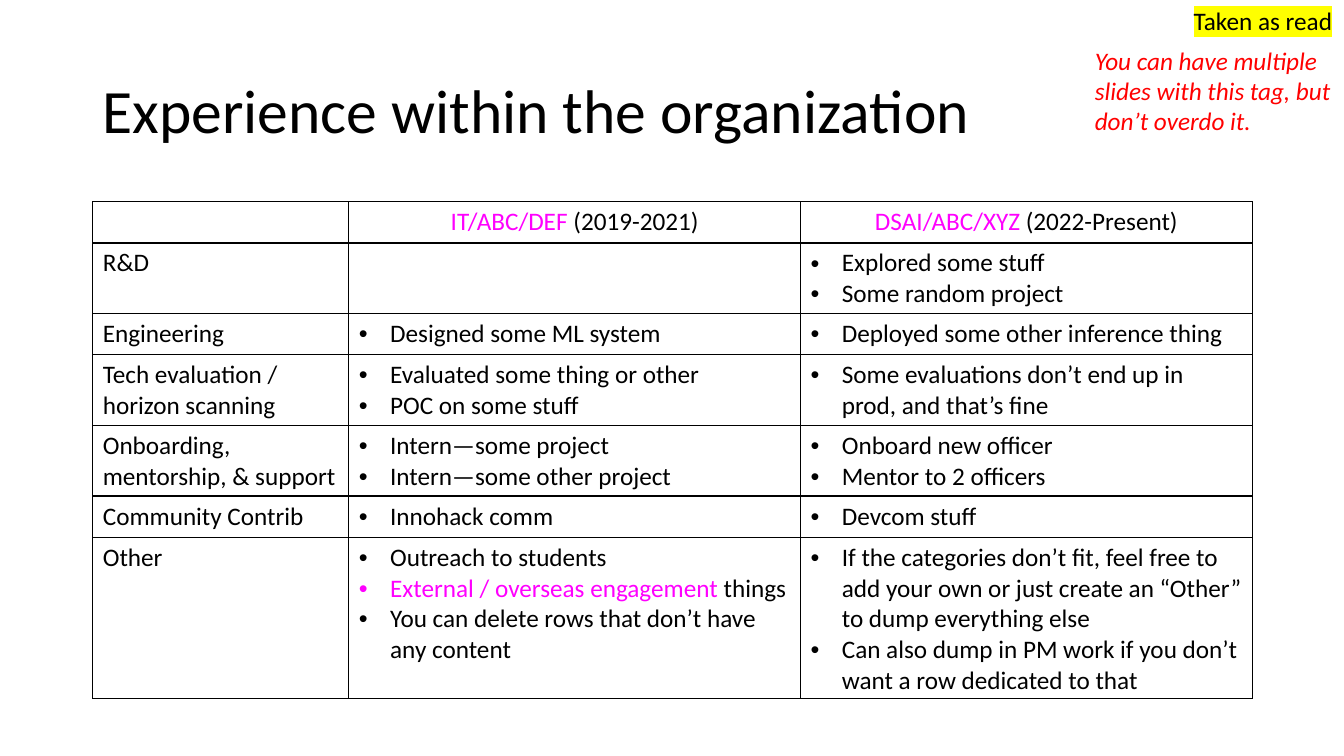
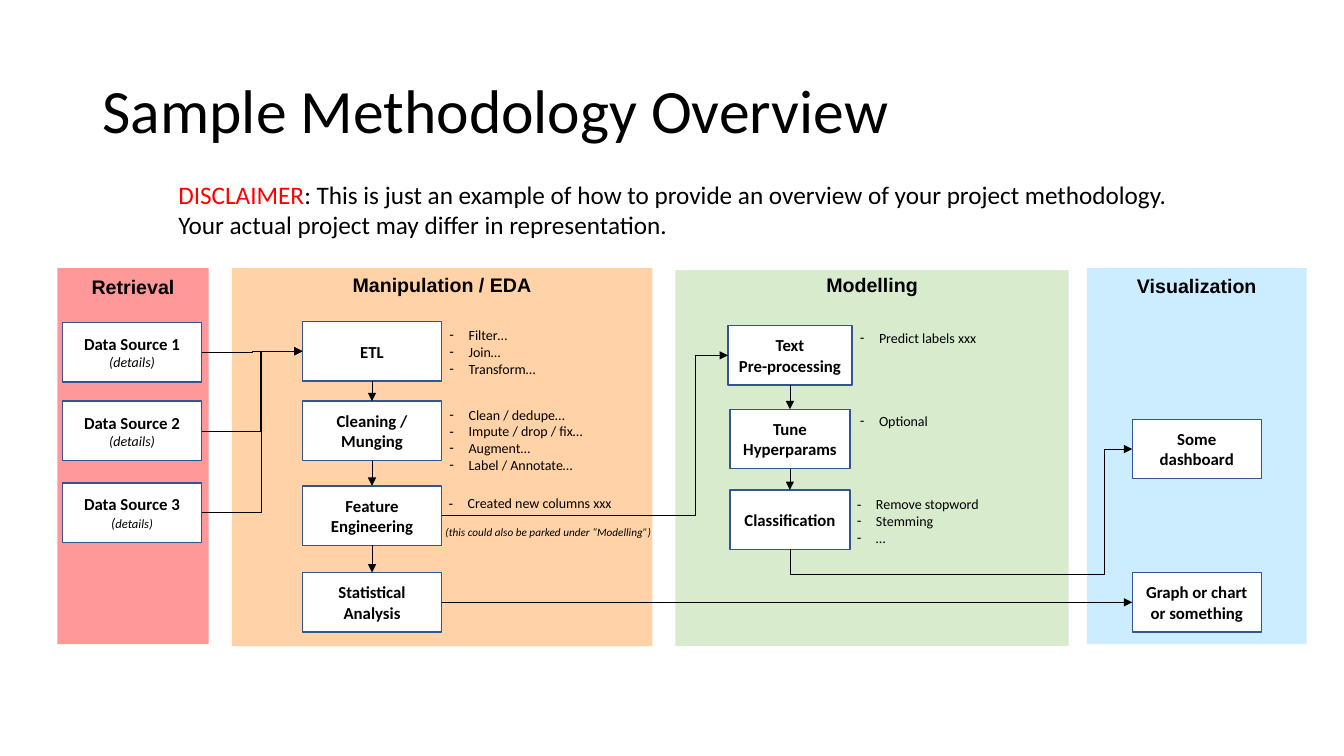
from lxml import etree
from pptx import Presentation
from pptx import util as u
from pptx.dml.color import RGBColor
from pptx.enum import shapes, text
from pptx.oxml import ns

PX = 9144
MID, TOP = text.MSO_ANCHOR.MIDDLE, text.MSO_ANCHOR.TOP
CENTER = text.PP_ALIGN.CENTER

THEME = {
    "ink": "000000", "white": "FFFFFF", "edge": "325491",
    "title": dict(size=44),
    "body": dict(size=18),
    "mark": dict(size=18, color="FF00FF"),
    "warn": dict(size=18, color="FF0000"),
    "hint": dict(size=18, color="FF0000", italic=True),
    "tag": dict(size=18, glow="FFFF00"),
    "head": dict(size=14, name="Arial", bold=True),
    "step": dict(size=12, bold=True),
    "detail": dict(size=10, italic=True),
    "small": dict(size=9, italic=True),
    "note": dict(size=10),
    "aside": dict(size=8, italic=True),
}
DOT, DASH = ("•", 31), ("-", 19)

COLS = [254, 448, 448]
ROW = 41
HEADS = [[], [[("IT/ABC/DEF", "mark"), " (2019-2021)"]],
         [[("DSAI/ABC/XYZ", "mark"), " (2022-Present)"]]]
ROWS = [
    ("R&D", [], ["Explored some stuff", "Some random project"]),
    ("Engineering", ["Designed some ML system"],
     ["Deployed some other inference thing"]),
    ("Tech evaluation / horizon scanning",
     ["Evaluated some thing or other", "POC on some stuff"],
     ["Some evaluations don’t end up in prod, and that’s fine"]),
    ("Onboarding, mentorship, & support",
     ["Intern—some project", "Intern—some other project"],
     ["Onboard new officer", "Mentor to 2 officers"]),
    ("Community Contrib", ["Innohack comm"], ["Devcom stuff"]),
    ("Other",
     ["Outreach to students",
      [("External / overseas engagement ", "mark"), "things"],
      "You can delete rows that don’t have any content"],
     ["If the categories don’t fit, feel free to add your own or just "
      "create an “Other” to dump everything else",
      "Can also dump in PM work if you don’t want a row dedicated to that"]),
]

BANDS = [
    ("Retrieval", (57, 266, 150, 373), "FF9999", 7),
    ("Manipulation / EDA", (230, 266, 417, 375), "FFD3A7", 5),
    ("Modelling", (670, 268, 390, 373), "D8EBCD", 3),
    ("Visualization", (1078, 266, 218, 373), "CCECFF", 6),
]
STEP = 59
STEPS = {
    "src1": (62, 320, 138, ["Data Source 1", [("(details)", "detail")]]),
    "src2": (62, 398, 138, ["Data Source 2", [("(details)", "detail")]]),
    "src3": (62, 479, 138, ["Data Source 3",
                            [("(", "detail"), ("details)", "small")]]),
    "etl": (300, 319, 138, ["ETL"]),
    "clean": (300, 398, 138, ["Cleaning / Munging"]),
    "feat": (300, 482, 138, ["Feature Engineering"]),
    "stat": (300, 568, 138, ["Statistical Analysis"]),
    "prep": (722, 323, 123, ["Text", "Pre-processing"]),
    "tune": (724, 406, 119, ["Tune Hyperparams"]),
    "class": (724, 486, 119, ["Classification"]),
    "dash": (1123, 416, 128, ["Some dashboard"]),
    "graph": (1123, 568, 128, ["Graph or chart or something"]),
}
NOTES = [
    ((436, 319, 197, 61), ["Filter…", "Join…", "Transform…"]),
    ((436, 398, 197, 77), ["Clean / dedupe…", "Impute / drop / fix…",
                           "Augment…", "Label / Annotate…"]),
    ((435, 486, 201, 44), ["Created new columns xxx"]),
    ((843, 322, 167, 27), ["Predict labels xxx"]),
    ((843, 404, 167, 27), ["Optional"]),
    ((840, 487, 167, 77), ["Remove stopword", "Stemming", "…"]),
]
CHAINS = [("etl", "clean", "feat", "stat"), ("prep", "tune", "class")]
BENDS = [("src1", "etl", 250), ("src2", "etl", 258), ("src3", "etl", 259),
         ("feat", "prep", 690)]
DETOUR = ("class", "dash", 570, 1095)


def rgb(code):
    return RGBColor.from_string(code)


def add(node, tag, **attrs):
    return etree.SubElement(node, ns.qn(tag), attrs)


def style(run, key):
    spec = {"name": "Calibri", "color": THEME["ink"], **THEME[key]}
    glow, color = spec.pop("glow", None), spec.pop("color")
    spec["size"] = u.Pt(spec["size"])
    for name, value in spec.items():
        setattr(run.font, name, value)
    run.font.color.rgb = rgb(color)
    if glow:
        mark = etree.Element(ns.qn("a:highlight"))
        add(mark, "a:srgbClr", val=glow)
        run.font.fill._xPr.find(ns.qn("a:solidFill")).addnext(mark)


def write(frame, paras, key, bullet=None, **form):
    frame.word_wrap = True
    for i, parts in enumerate(paras):
        para = frame.add_paragraph() if i else frame.paragraphs[0]
        if bullet:
            sign, dent = bullet
            prop = para._p.get_or_add_pPr()
            prop.set("marL", str(dent * PX))
            prop.set("indent", str(-dent * PX))
            add(prop, "a:buFont", typeface="Arial")
            add(prop, "a:buChar", char=sign)
        for name, value in form.items():
            setattr(para, name, value)
        for part in [parts] if isinstance(parts, str) else parts:
            words, look = (part, key) if isinstance(part, str) else part
            run = para.add_run()
            run.text = words
            style(run, look)


def label(slide, at, paras, key, anchor=TOP, **form):
    frame = slide.shapes.add_textbox(*(v * PX for v in at)).text_frame
    frame.vertical_anchor = anchor
    write(frame, paras, key, **form)


def rect(slide, at, fill, paras, key, anchor, edge=None):
    box = slide.shapes.add_shape(shapes.MSO_SHAPE.RECTANGLE,
                                 *(v * PX for v in at))
    box.shadow.inherit = False
    box.fill.solid()
    box.fill.fore_color.rgb = rgb(fill)
    if edge:
        box.line.color.rgb = rgb(edge)
        box.line.width = u.Pt(1)
    else:
        box.line.fill.background()
    box.text_frame.vertical_anchor = anchor
    write(box.text_frame, paras, key, alignment=CENTER)
    return box


def side(box, i):
    x, y, w, h = box.left, box.top, box.width, box.height
    return [(x + w // 2, y), (x, y + h // 2),
            (x + w // 2, y + h), (x + w, y + h // 2)][i]


def arrow(slide, kind, start, end):
    line = slide.shapes.add_connector(kind, *start, *end)
    line.line.color.rgb = rgb(THEME["ink"])
    line.line.width = u.Pt(0.5)
    add(line.line._get_or_add_ln(), "a:tailEnd", type="triangle")
    add(line._element.spPr, "a:effectLst")
    return line


def link(slide, a, i, b, j):
    line = arrow(slide, shapes.MSO_CONNECTOR.STRAIGHT, side(a, i), side(b, j))
    line.begin_connect(a, i)
    line.end_connect(b, j)


def bend(line, *ratios):
    geom = line._element.spPr.find(ns.qn("a:prstGeom"))
    geom.set("prst", f"bentConnector{len(ratios) + 2}")
    guides = geom.find(ns.qn("a:avLst"))
    if guides is None:
        guides = add(geom, "a:avLst")
    for n, ratio in enumerate(ratios, 1):
        add(guides, "a:gd", name=f"adj{n}", fmla=f"val {round(ratio * 100000)}")


def elbow(slide, a, b, turn):
    start, end = side(a, 3), side(b, 1)
    line = arrow(slide, shapes.MSO_CONNECTOR.ELBOW, start, end)
    bend(line, (turn * PX - start[0]) / (end[0] - start[0]))


def detour(slide, a, b, low, turn):
    (x, y), (right, top) = side(a, 2), side(b, 1)
    wide, high = right - x, y - top
    line = arrow(slide, shapes.MSO_CONNECTOR.ELBOW, (x, y), (right, top))
    line.left, line.top = (x + right - high) // 2, (y + top - wide) // 2
    line.width, line.height = high, wide
    line.rotation = 90
    form = line._element.spPr.find(ns.qn("a:xfrm"))
    for flip in ("flipH", "flipV"):
        form.set(flip, "1")
    bend(line, (y - low * PX) / high, (turn * PX - x) / wide)


def frame_cell(cell):
    cell.fill.background()
    prop = cell._tc.get_or_add_tcPr()
    for i, edge in enumerate("LRTB"):
        line = etree.Element(ns.qn(f"a:ln{edge}"), w="12700")
        add(add(line, "a:solidFill"), "a:srgbClr", val=THEME["ink"])
        prop.insert(i, line)


def page(deck, title):
    slide = deck.slides.add_slide(deck.slide_layouts[6])
    label(slide, (92, 40, 1150, 145), [title], "title", MID, line_spacing=0.9)
    return slide


def history(deck):
    slide = page(deck, "Experience within the organization")
    count = len(ROWS) + 1
    grid = slide.shapes.add_table(count, len(COLS), 92 * PX, 200 * PX,
                                  sum(COLS) * PX, count * ROW * PX).table
    grid.first_row = grid.horz_banding = False
    for col, wide in zip(grid.columns, COLS):
        col.width = wide * PX
    for r, row in enumerate([HEADS] + ROWS):
        grid.rows[r].height = ROW * PX
        for c, paras in enumerate(row):
            cell = grid.cell(r, c)
            frame_cell(cell)
            if r == 0:
                write(cell.text_frame, paras, "body", alignment=CENTER)
            elif c == 0:
                write(cell.text_frame, [paras], "body")
            else:
                write(cell.text_frame, paras, "body", DOT)
    label(slide, (1174, 0, 159, 40), ["Taken as read"], "tag")
    label(slide, (1076, 40, 265, 101),
          ["You can have multiple slides with this tag, but don’t overdo it."],
          "hint")


def method(deck):
    slide = page(deck, "Sample Methodology Overview")
    label(slide, (167, 173, 1021, 71),
          [[("DISCLAIMER", "warn"),
            ": This is just an example of how to provide an overview of your "
            "project methodology. Your actual project may differ in "
            "representation."]], "body")
    for name, at, fill, inset in BANDS:
        band = rect(slide, at, fill, [name], "head", TOP)
        band.text_frame.margin_top = inset * PX
    steps = {key: rect(slide, (x, y, w, STEP), THEME["white"], paras, "step",
                       MID, THEME["edge"])
             for key, (x, y, w, paras) in STEPS.items()}
    for at, paras in NOTES:
        label(slide, at, paras, "note", bullet=DASH)
    label(slide, (432, 516, 227, 24),
          ["(this could also be parked under “Modelling”)"], "aside")
    for chain in CHAINS:
        for a, b in zip(chain, chain[1:]):
            link(slide, steps[a], 2, steps[b], 0)
    link(slide, steps["stat"], 3, steps["graph"], 1)
    for a, b, turn in BENDS:
        elbow(slide, steps[a], steps[b], turn)
    a, b, low, turn = DETOUR
    detour(slide, steps[a], steps[b], low, turn)


def main():
    deck = Presentation()
    deck.slide_width, deck.slide_height = 1333 * PX, 750 * PX
    history(deck)
    method(deck)
    deck.save("out.pptx")


if __name__ == "__main__":
    main()
